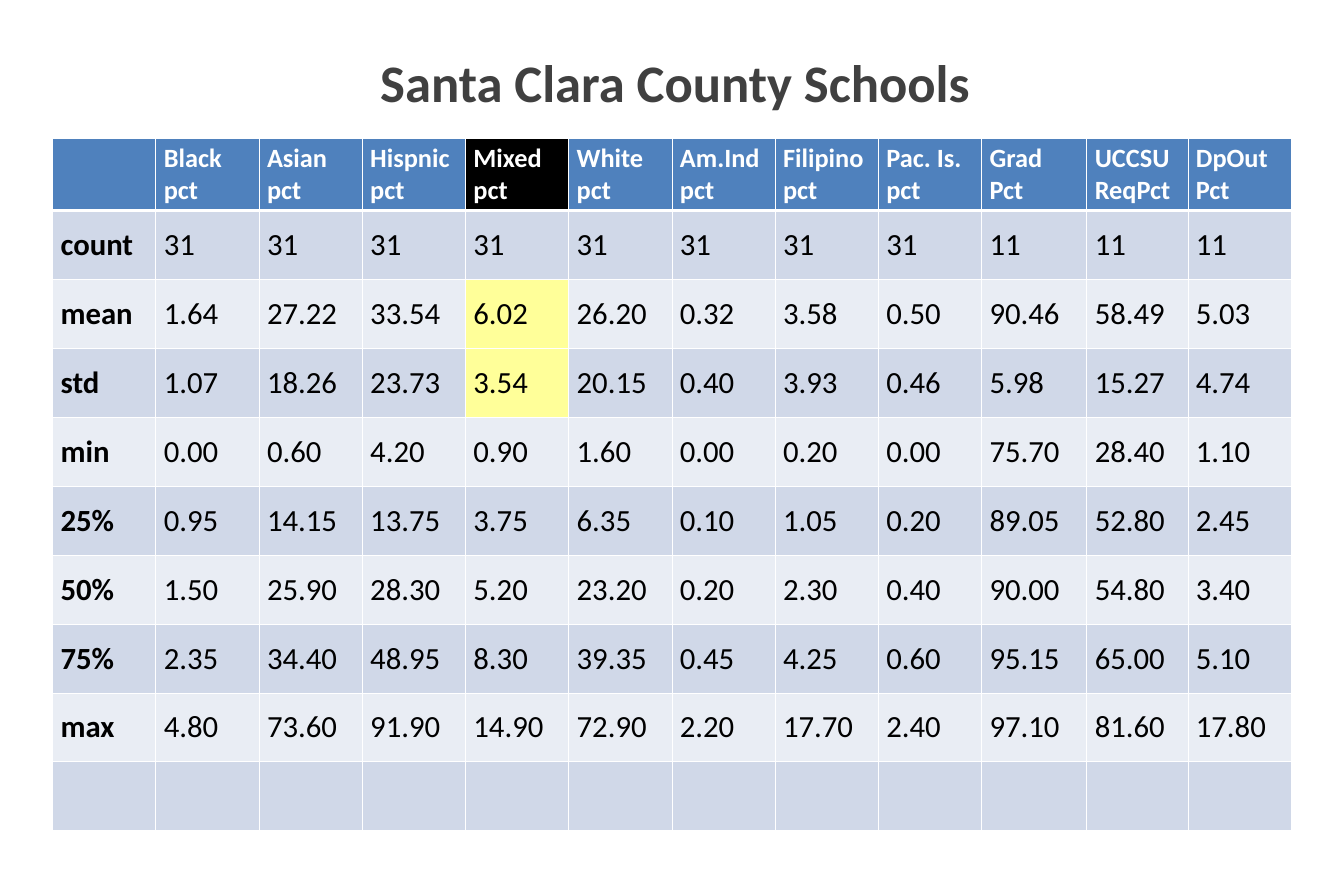
from dataclasses import dataclass

from lxml.etree import SubElement
from pptx import Presentation
from pptx.dml.color import RGBColor
from pptx.enum.text import MSO_ANCHOR, PP_ALIGN
from pptx.oxml.ns import qn
from pptx.util import Inches, Pt


@dataclass(frozen=True)
class Theme:
    font: str = "Calibri"
    title_size: int = 48
    header_size: int = 24
    body_size: int = 28
    title: str = "404040"
    header: str = "4F81BD"
    focus_header: str = "000000"
    focus: str = "FFFF99"
    bands: tuple = ("E9EDF4", "D0D8E8")
    light: str = "FFFFFF"
    dark: str = "000000"
    rule: int = 1
    header_rule: int = 3


THEME = Theme()
SLIDE_WIDTH, SLIDE_HEIGHT = Inches(17), Inches(11)
COLUMN_SHARES = [1] * 9 + [1.02, 0.98, 1]
FOCUS_COLUMN = "Mixed\npct"
FOCUS_ROWS = ("mean", "std")

HEADINGS = [
    "", "Black\npct", "Asian\npct", "Hispnic\npct", "Mixed\npct", "White\npct",
    "Am.Ind\npct", "Filipino\npct", "Pac. Is.\npct", "Grad\nPct",
    "UCCSU\nReqPct", "DpOut\nPct",
]
STATISTICS = [
    ["count"] + ["31"] * 8 + ["11"] * 3,
    "mean 1.64 27.22 33.54 6.02 26.20 0.32 3.58 0.50 90.46 58.49 5.03".split(),
    "std 1.07 18.26 23.73 3.54 20.15 0.40 3.93 0.46 5.98 15.27 4.74".split(),
    "min 0.00 0.60 4.20 0.90 1.60 0.00 0.20 0.00 75.70 28.40 1.10".split(),
    "25% 0.95 14.15 13.75 3.75 6.35 0.10 1.05 0.20 89.05 52.80 2.45".split(),
    "50% 1.50 25.90 28.30 5.20 23.20 0.20 2.30 0.40 90.00 54.80 3.40".split(),
    "75% 2.35 34.40 48.95 8.30 39.35 0.45 4.25 0.60 95.15 65.00 5.10".split(),
    "max 4.80 73.60 91.90 14.90 72.90 2.20 17.70 2.40 97.10 81.60 17.80".split(),
    [""] * len(HEADINGS),
]


def share_box(left, top, width, height):
    return (round(left * SLIDE_WIDTH), round(top * SLIDE_HEIGHT),
            round(width * SLIDE_WIDTH), round(height * SLIDE_HEIGHT))


def write_text(frame, text, *, size, color, bold=False, align=PP_ALIGN.LEFT):
    for index, line in enumerate(text.split("\n")):
        paragraph = frame.paragraphs[0] if index == 0 else frame.add_paragraph()
        paragraph.alignment = align
        run = paragraph.add_run()
        run.text = line
        run.font.name = THEME.font
        run.font.size = Pt(size)
        run.font.bold = bold
        run.font.color.rgb = RGBColor.from_string(color)


def rule_cell(cell, *, top, bottom):
    properties = cell._tc.get_or_add_tcPr()
    weights = {"L": THEME.rule, "R": THEME.rule, "T": top, "B": bottom}
    for side, weight in weights.items():
        border = SubElement(properties, qn(f"a:ln{side}"), w=str(Pt(weight)))
        paint = SubElement(border, qn("a:solidFill"))
        SubElement(paint, qn("a:srgbClr"), val=THEME.light)


def cell_fill(row, statistic, heading):
    focused = heading == FOCUS_COLUMN
    if row == 0:
        return THEME.focus_header if focused else THEME.header
    if focused and statistic in FOCUS_ROWS:
        return THEME.focus
    return THEME.bands[row % 2]


def add_title(slide, box):
    frame = slide.shapes.add_textbox(*box).text_frame
    frame.word_wrap = False
    write_text(frame, "Santa Clara County Schools", size=THEME.title_size,
               color=THEME.title, bold=True)


def add_statistics(slide, box):
    records = [HEADINGS] + STATISTICS
    table = slide.shapes.add_table(len(records), len(HEADINGS), *box).table
    table.first_row = table.horz_banding = False
    for column, share in zip(table.columns, COLUMN_SHARES):
        column.width = round(box[2] * share / sum(COLUMN_SHARES))

    for row, record in enumerate(records):
        for column, value in enumerate(record):
            cell = table.cell(row, column)
            rule_cell(cell,
                      top=THEME.header_rule if row == 1 else THEME.rule,
                      bottom=THEME.header_rule if row == 0 else THEME.rule)
            cell.fill.solid()
            cell.fill.fore_color.rgb = RGBColor.from_string(
                cell_fill(row, record[0], HEADINGS[column]))
            cell.vertical_anchor = MSO_ANCHOR.MIDDLE
            if value:
                write_text(cell.text_frame, value,
                           size=THEME.body_size if row else THEME.header_size,
                           color=THEME.dark if row else THEME.light,
                           bold=row == 0 or column == 0)


def main():
    deck = Presentation()
    deck.slide_width, deck.slide_height = SLIDE_WIDTH, SLIDE_HEIGHT
    slide = deck.slides.add_slide(deck.slide_layouts[6])
    add_statistics(slide, share_box(0.0392, 0.1591, 0.9216, 0.7924))
    add_title(slide, share_box(0.2771, 0.0527, 0.4535, 0.0827))
    deck.save("out.pptx")


if __name__ == "__main__":
    main()
